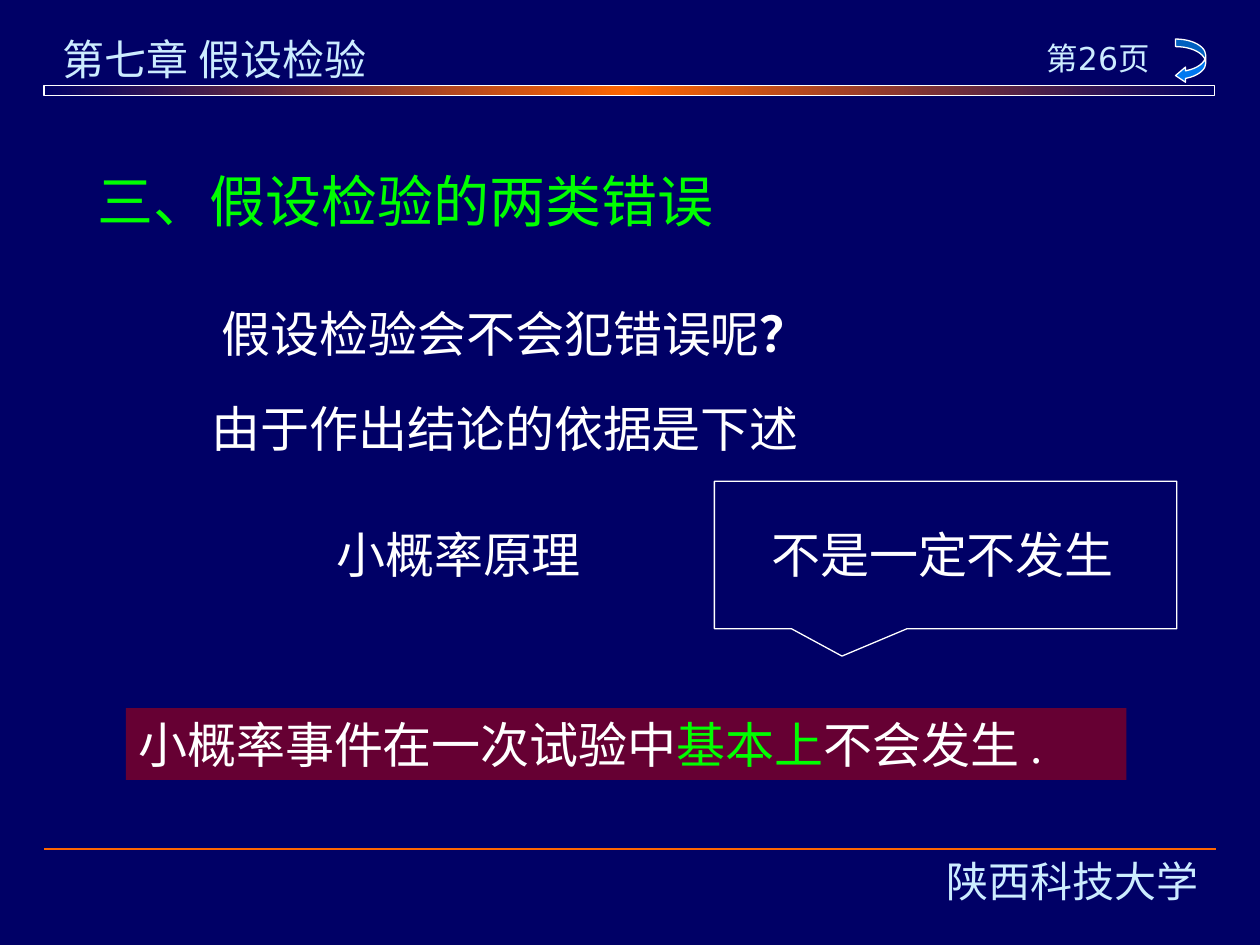
from copy import deepcopy

from pptx import Presentation
from pptx.dml.color import RGBColor
from pptx.enum.shapes import MSO_CONNECTOR, MSO_SHAPE
from pptx.enum.text import MSO_ANCHOR as Anchor, MSO_AUTO_SIZE as AutoSize, PP_ALIGN as Align
from pptx.oxml.ns import qn
from pptx.util import Inches, Pt

COLORS = {name: RGBColor.from_string(value) for name, value in {
    "navy": "000066", "orange": "FF6600", "pale": "CCECFF", "white": "FFFFFF",
    "green": "00FF00", "maroon": "660033", "blue": "0078F0"}.items()}
SERIF = "Times New Roman"


def write(shape, spans, size, font, align=Align.LEFT, anchor=Anchor.TOP, wrap=False):
    """Fill a shape with one paragraph made of (text, colour, bold) spans."""
    frame = shape.text_frame
    frame.auto_size = AutoSize.NONE
    frame.word_wrap = wrap
    frame.vertical_anchor = anchor
    para = frame.paragraphs[0]
    para.alignment = align
    for text, color, bold in spans:
        span = para.add_run()
        span.text = text
        span.font.size = Pt(size)
        span.font.name = font
        span.font.bold = bold
        span.font.color.rgb = COLORS[color]


def add_shape(kind, left, top, width, height, fill=None, line=None):
    shape = page.shapes.add_shape(kind, Inches(left), Inches(top), Inches(width), Inches(height))
    shape.shadow.inherit = False
    if fill:
        shape.fill.solid()
        shape.fill.fore_color.rgb = COLORS[fill]
    if line:
        shape.line.color.rgb = COLORS[line]
        shape.line.width = Pt(0.75)
    else:
        shape.line.fill.background()
    return shape


deck = Presentation()
deck.slide_width, deck.slide_height = Inches(10), Inches(7.5)
page = deck.slides.add_slide(deck.slide_layouts[5])
page.background.fill.solid()
page.background.fill.fore_color.rgb = COLORS["navy"]

# Header and footer
rule = page.shapes.add_connector(
    MSO_CONNECTOR.STRAIGHT, Inches(0.35), Inches(6.74), Inches(9.65), Inches(6.74))
rule.line.color.rgb = COLORS["orange"]
rule.line.width = Pt(1)
rule_properties = rule._element.spPr
rule_properties.append(rule_properties.makeelement(qn("a:effectLst"), {}))

bar = add_shape(MSO_SHAPE.RECTANGLE, 0.35, 0.68, 9.29, 0.08, line="white")
bar.fill.gradient()
bar.fill.gradient_angle = 0
stops = bar._element.spPr.find(".//" + qn("a:gsLst"))
stops.insert(1, deepcopy(stops[0]))
for stop, position, color in zip(bar.fill.gradient_stops, (0, 0.5, 1), ("navy", "orange", "navy")):
    stop.position = position
    stop.color.rgb = COLORS[color]

arrow = add_shape(MSO_SHAPE.CURVED_LEFT_ARROW, 9.33, 0.31, 0.24, 0.35, "blue", "white")
arrow.adjustments[2] = 0.33

for text, left, top, width, height, size, font, align in [
    ("第七章 假设检验", 0.4, 0.22, 2.7, 0.5, 24, "Comic Neue", Align.LEFT),
    ("陕西科技大学", 7.27, 6.74, 2.49, 0.5, 24, "Karla", Align.CENTER),
    ("第26页", 8.1, 0.26, 1.23, 0.4, 18, "DejaVu Sans", Align.CENTER),
]:
    box = page.shapes.add_textbox(Inches(left), Inches(top), Inches(width), Inches(height))
    write(box, [(text, "pale", False)], size, font, align)

# Heading
title = page.shapes.title
title.left, title.top, title.width, title.height = map(Inches, (0.67, 1.27, 5.76, 0.64))
write(title, [("三、假设检验的两类错误", "green", False)], 32, "Noto Sans CJK SC")

# Argument
add_shape(MSO_SHAPE.RECTANGULAR_CALLOUT, 5.67, 3.82, 3.67, 1.17, "navy", "white")
callout = page.shapes[-1]
callout.adjustments[0], callout.adjustments[1] = -0.224, 0.686

for left, top, width, spans in [
    (1.66, 2.36, 4.86, [("假设检验会不会犯错误呢", "white", False), ("？", "white", True)]),
    (1.58, 3.11, 4.86, [("由于作出结论的依据是下述", "white", False)]),
    (2.57, 4.11, 2.14, [("小概率原理", "white", False)]),
    (6.02, 4.11, 2.92, [("不是一定不发生", "white", False)]),
]:
    box = page.shapes.add_textbox(Inches(left), Inches(top), Inches(width), Inches(0.57))
    write(box, spans, 28, SERIF, Align.CENTER, Anchor.MIDDLE)

principle = add_shape(MSO_SHAPE.RECTANGLE, 1, 5.62, 7.94, 0.57, "maroon")
write(principle, [("小概率事件在一次试验中", "white", False), ("基本上", "green", False),
                  ("不会发生 .", "white", False)], 28, SERIF, anchor=Anchor.MIDDLE, wrap=True)

deck.save("out.pptx")
